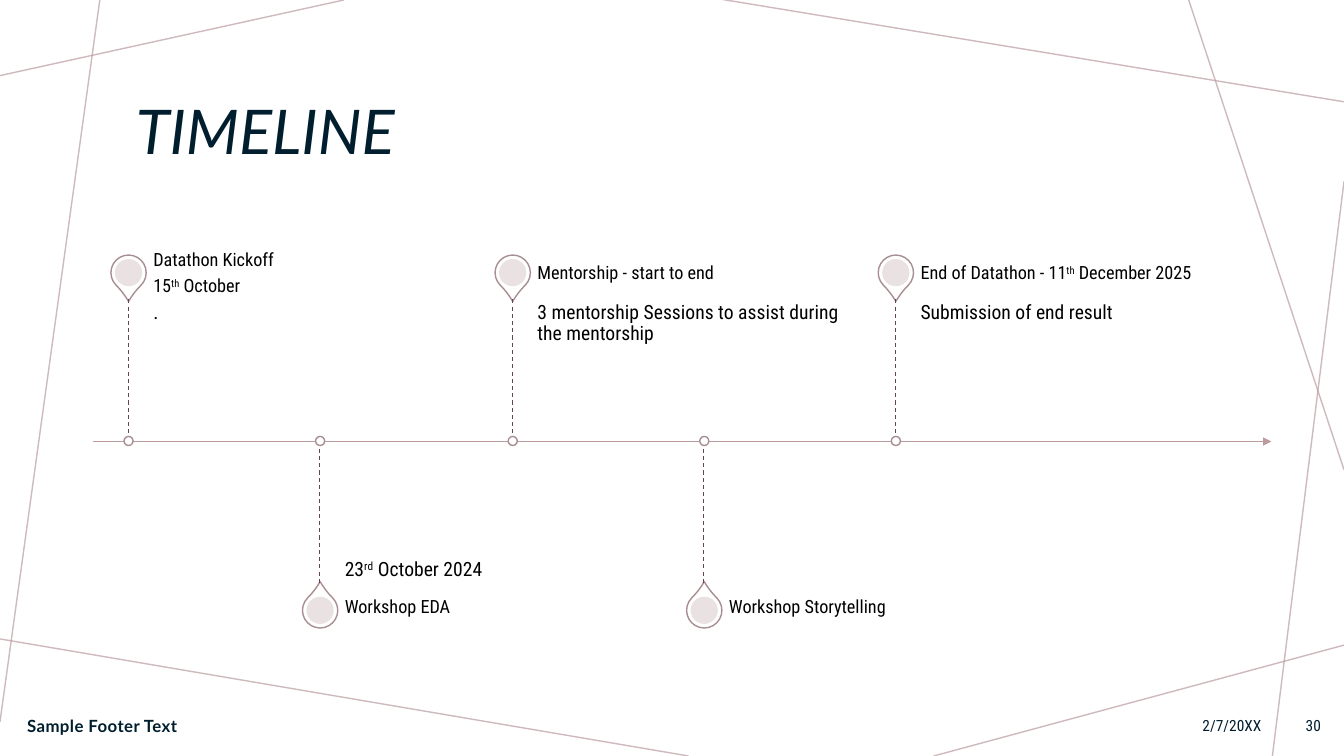
"""Builds a timeline slide with pins above and below an arrow."""
import dataclasses

import lxml.etree
import pptx
import pptx.dml.color
import pptx.enum.dml
import pptx.enum.shapes
import pptx.enum.text
import pptx.oxml.ns
import pptx.util

SCALE = 9144
SHAPE = pptx.enum.shapes.MSO_SHAPE
ALIGN = pptx.enum.text.PP_ALIGN
ANCHOR = pptx.enum.text.MSO_ANCHOR


@dataclasses.dataclass(frozen=True)
class Theme:
    """Holds the colours, fonts and type sizes."""
    white: str = "FFFFFF"
    black: str = "000000"
    navy: str = "001E2E"
    rose: str = "BA9CA0"
    edge: str = "A98E91"
    stem: str = "65464A"
    core: str = "E7DEDF"
    head: str = "Lato"
    body: str = "Roboto Condensed"
    title: int = 44
    note: int = 14
    label: int = 13
    foot: int = 12
    small: int = 11


THEME = Theme()
AXIS = 438
START = 127
STEP = 190.25
RAYS = [
    (341, 0, 0, 75), (99, 0, 0, 716), (683, 750, -5, 633),
    (1333, 640, 926, 750), (1333, 180, 1262, 750),
    (1333, 466, 1179, 0), (1333, 101, 714, -1),
]
STOPS = [
    (["Datathon Kickoff", "15^th^ October"], "."),
    (["Workshop EDA"], "23^rd^ October 2024"),
    (["Mentorship - start to end"],
     "3 mentorship Sessions to assist during the mentorship"),
    (["Workshop Storytelling"], ""),
    (["End of Datathon - 11^th^ December 2025"],
     "Submission of end result"),
]


def px(*sizes):
    """Turns pixel lengths into EMU."""
    return [pptx.util.Emu(size * SCALE) for size in sizes]


def tint(code):
    """Makes a colour from its hex code."""
    return pptx.dml.color.RGBColor.from_string(code)


def put(node, tag, **attrs):
    """Adds a drawing element to a node."""
    return lxml.etree.SubElement(node, pptx.oxml.ns.qn(tag), attrs)


def fade(shape, part):
    """Makes the colours of a shape partly see-through."""
    for node in shape._element.spPr.iter(pptx.oxml.ns.qn("a:srgbClr")):
        put(node, "a:alpha", val=str(part * 1000))


def add_line(slide, ends, color, width=1.0):
    """Draws a straight line without a shadow."""
    kind = pptx.enum.shapes.MSO_CONNECTOR.STRAIGHT
    line = slide.shapes.add_connector(kind, *px(*ends))
    line.line.color.rgb = tint(color)
    line.line.width = pptx.util.Pt(width)
    put(line._element.spPr, "a:effectLst")
    return line


def add_form(slide, kind, box, fill, edge=None):
    """Draws a filled preset shape."""
    form = slide.shapes.add_shape(kind, *px(*box))
    form.shadow.inherit = False
    form.fill.solid()
    form.fill.fore_color.rgb = tint(fill)
    if edge:
        form.line.color.rgb = tint(edge)
        form.line.width = pptx.util.Pt(1)
    else:
        form.line.fill.background()
    return form


def add_text(slide, box, lines, size, color, face=THEME.body, pad=(10, 5),
             anchor=ANCHOR.MIDDLE, align=ALIGN.LEFT, lead=1.0, gap=0,
             bold=False, slant=False, track=0):
    """Writes paragraphs, raising the text between carets."""
    frame = slide.shapes.add_textbox(*px(*box)).text_frame
    frame.word_wrap = True
    frame.vertical_anchor = anchor
    frame.margin_left, frame.margin_top = px(*pad)
    frame.margin_right, frame.margin_bottom = px(*pad)
    for index, line in enumerate(lines):
        para = frame.add_paragraph() if index else frame.paragraphs[0]
        para.alignment = align
        para.line_spacing = lead
        para.space_after = pptx.util.Pt(gap)
        for turn, words in enumerate(line.split("^")):
            run = para.add_run()
            run.text = words
            font = run.font
            font.name, font.size = face, pptx.util.Pt(size)
            font.bold, font.italic = bold, slant
            font.color.rgb = tint(color)
            if turn % 2:
                font._element.set("baseline", "30000")
            if track:
                font._element.set("spc", str(track))


def add_stop(slide, index, label, note):
    """Draws one stop: pin, texts, stem and dot."""
    mid = round(START + STEP * index)
    low = index % 2 == 1
    top = 588 if low else 253
    tip = 578 if low else 297
    pin = add_form(slide, SHAPE.TEAR, (mid - 17, top, 35, 35),
                   THEME.white, THEME.edge)
    pin.adjustments[0] = 1.15
    pin.rotation = 315 if low else 135
    core = add_form(slide, SHAPE.OVAL, (mid - 13, top + 4, 27, 27), THEME.core)
    fade(core, 90)
    left = mid + 25
    if note:
        add_text(slide, (left, AXIS if low else tip, 321, 141), [note],
                 THEME.note, THEME.black, pad=(0, 3), lead=0.9, gap=5,
                 anchor=ANCHOR.BOTTOM if low else ANCHOR.TOP)
    add_text(slide, (left, tip if low else 247, 321, 49), label,
             THEME.label, THEME.black, pad=(0, 0), lead=0.9, gap=5)
    stem = add_line(slide, (mid, min(tip, AXIS), mid, max(tip, AXIS)),
                    THEME.stem, 0.75)
    stem.line.dash_style = pptx.enum.dml.MSO_LINE.DASH
    add_form(slide, SHAPE.OVAL, (mid - 4, AXIS - 5, 9, 9),
             THEME.white, THEME.edge)


def main():
    """Builds and saves the slide."""
    deck = pptx.Presentation()
    deck.slide_width, deck.slide_height = px(1333, 750)
    slide = deck.slides.add_slide(deck.slide_layouts[6])
    for ends in RAYS:
        fade(add_line(slide, ends, THEME.rose), 70)
    axis = add_line(slide, (92, AXIS, 1261, AXIS), THEME.rose)
    put(axis.line._get_or_add_ln(), "a:tailEnd", type="triangle")
    for index, (label, note) in enumerate(STOPS):
        add_stop(slide, index, label, note)
    add_text(slide, (125, 58, 1083, 151), ["TIMELINE"], THEME.title,
             THEME.navy, THEME.head, lead=0.9, slant=True)
    add_text(slide, (17, 700, 492, 40), ["Sample Footer Text"], THEME.foot,
             THEME.navy, THEME.head, bold=True, track=30)
    for left, width, words in [(802, 459, "2/7/20XX"), (1269, 51, "30")]:
        add_text(slide, (left, 700, width, 40), [words], THEME.small,
                 THEME.navy, align=ALIGN.RIGHT)
    deck.save("out.pptx")


if __name__ == "__main__":
    main()
